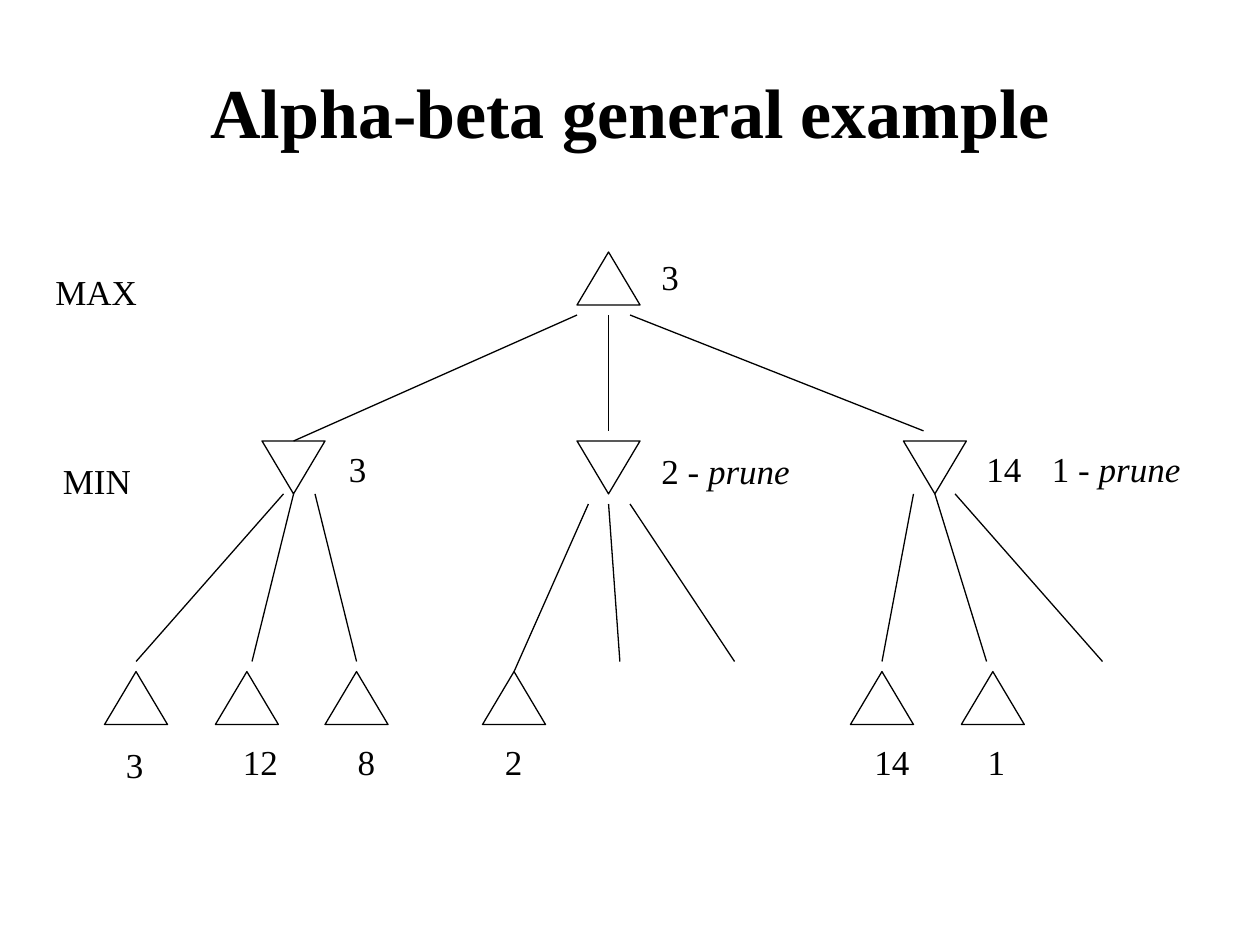
from lxml.etree import SubElement
from pptx import Presentation
from pptx.dml.color import RGBColor
from pptx.enum.shapes import MSO_CONNECTOR, MSO_SHAPE
from pptx.enum.text import MSO_ANCHOR, MSO_AUTO_SIZE, PP_ALIGN
from pptx.oxml.ns import qn
from pptx.util import Inches, Pt

HUES = {"ink": "000000", "paper": "FFFFFF"}
FONT = "Times New Roman"
WIDE, HIGH = 0.5, 0.42
MAX_Y, MIN_Y, LEAF_Y = 2, 3.5, 5.33
MIN_XS = (2.08, 4.58, 7.17)
LEAVES = [
    (0.83, "3", 0.9, 5.85, 0.34),
    (1.71, "12", 1.83, 5.83, 0.48),
    (2.58, "8", 2.74, 5.83, 0.34),
    (3.83, "2", 3.91, 5.83, 0.34),
    (6.75, "14", 6.84, 5.83, 0.48),
    (7.63, "1", 7.74, 5.83, 0.34),
]
EDGES = [
    (4.58, 2.5, 2.33, 3.5), (4.83, 2.5, 4.83, 3.42), (5, 2.5, 7.33, 3.42),
    (2.25, 3.92, 1.08, 5.25), (2.33, 3.92, 2, 5.25), (2.5, 3.92, 2.83, 5.25),
    (4.67, 4, 4.08, 5.33), (4.83, 4, 4.92, 5.25), (5, 4, 5.83, 5.25),
    (7.25, 3.92, 7, 5.25), (7.42, 3.92, 7.83, 5.25), (7.58, 3.92, 8.75, 5.25),
]
LABELS = [
    ("MAX", "", 0.34, 2.1, 0.85),
    ("MIN", "", 0.4, 3.6, 0.74),
    ("3", "", 5.15, 1.98, 0.34),
    ("3", "", 2.67, 3.5, 0.34),
    ("2 - ", "prune", 5.15, 3.52, 1.22),
    ("14", "", 7.73, 3.5, 0.48),
    ("1 - ", "prune", 8.25, 3.5, 1.22),
]


def hue(name):
    """Return a named colour."""
    return RGBColor.from_string(HUES[name])


def write(par, text, size=20, bold=False, italic=False):
    """Add a formatted run to a paragraph."""
    run = par.add_run()
    run.text = text
    font = run.font
    font.name, font.size = FONT, Pt(size)
    font.bold, font.italic = bold, italic
    font.color.rgb = hue("ink")


def add_title(slide, text):
    """Place and fill the title."""
    title = slide.shapes.title
    title.left, title.top = Inches(0.75), Inches(0.25)
    title.width, title.height = Inches(8.5), Inches(1.25)
    frame = title.text_frame
    frame.auto_size = MSO_AUTO_SIZE.NONE
    frame.vertical_anchor = MSO_ANCHOR.MIDDLE
    par = frame.paragraphs[0]
    par.alignment = PP_ALIGN.CENTER
    write(par, text, size=40, bold=True)


def add_node(slide, x, y, down=False):
    """Draw a triangle node, pointing down for a MIN node."""
    node = slide.shapes.add_shape(
        MSO_SHAPE.ISOSCELES_TRIANGLE,
        Inches(x), Inches(y), Inches(WIDE), Inches(HIGH))
    node.shadow.inherit = False
    node.fill.solid()
    node.fill.fore_color.rgb = hue("paper")
    node.line.color.rgb = hue("ink")
    node.line.width = Pt(0.75)
    if down:
        node.element.spPr.get_or_add_xfrm().set("flipV", "1")


def add_edge(slide, *ends):
    """Draw a thin line between two points."""
    edge = slide.shapes.add_connector(
        MSO_CONNECTOR.STRAIGHT, *(Inches(end) for end in ends))
    edge.line.color.rgb = hue("ink")
    edge.line.width = Pt(0.75)
    SubElement(edge.element.spPr, qn("a:effectLst"))


def add_label(slide, text, slant, x, y, wide):
    """Add a one-line label with an optional italic ending."""
    box = slide.shapes.add_textbox(
        Inches(x), Inches(y), Inches(wide), Inches(0.44))
    frame = box.text_frame
    frame.word_wrap = False
    frame.auto_size = MSO_AUTO_SIZE.SHAPE_TO_FIT_TEXT
    par = frame.paragraphs[0]
    write(par, text)
    if slant:
        write(par, slant, italic=True)


def main():
    """Build the game tree slide."""
    deck = Presentation()
    deck.slide_width, deck.slide_height = Inches(10), Inches(7.5)
    slide = deck.slides.add_slide(deck.slide_layouts[5])
    add_title(slide, "Alpha-beta general example")
    add_node(slide, 4.58, MAX_Y)
    for x in MIN_XS:
        add_node(slide, x, MIN_Y, down=True)
    for x, *_ in LEAVES:
        add_node(slide, x, LEAF_Y)
    for ends in EDGES:
        add_edge(slide, *ends)
    for _, text, x, y, wide in LEAVES:
        add_label(slide, text, "", x, y, wide)
    for label in LABELS:
        add_label(slide, *label)
    deck.save("out.pptx")


if __name__ == "__main__":
    main()
